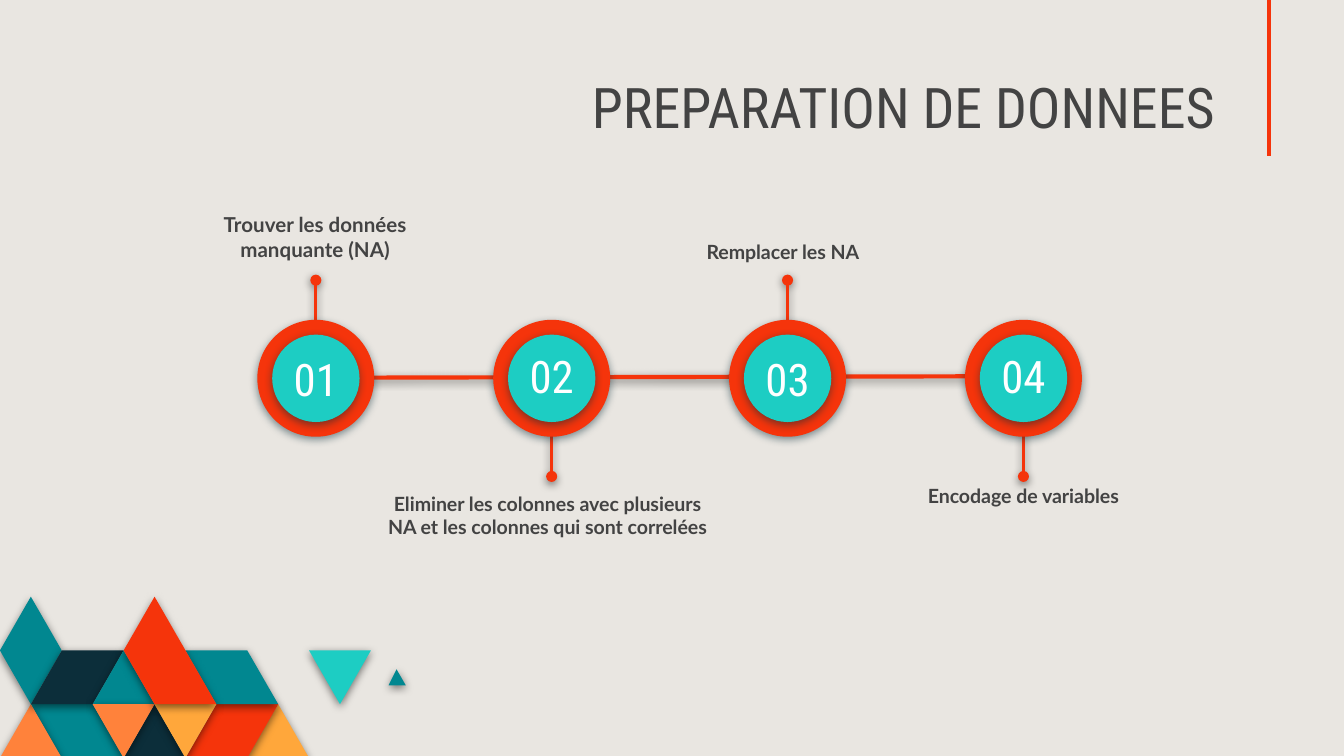
from lxml import etree
from pptx import Presentation
from pptx.dml.color import RGBColor
from pptx.enum.shapes import MSO_CONNECTOR as Conn, MSO_SHAPE as Form
from pptx.enum.text import MSO_ANCHOR as Anchor, PP_ALIGN as Align
from pptx.oxml.ns import qn
from pptx.util import Inches, Pt

W, H = 10, 5.625
RED, TEAL, AQUA, NAVY = "F5340B", "018790", "1DCDC3", "0C2E3A"
ORANGE, GOLD, GRAY, WHITE = "FF823B", "FFA73B", "434343", "FFFFFF"

TITLE = "PREPARATION DE DONNEES"
# number, label, label box (left, top, width, height), size, stem direction
STEPS = [
    ("01", "Trouver les données manquante (NA)", (1.22, 1.48, 2.25, 0.75), 11, -1),
    ("02", "Eliminer les colonnes avec plusieurs NA et les colonnes qui sont correlées",
     (2.78, 3.56, 2.59, 0.75), 10.5, 1),
    ("03", "Remplacer les NA", (4.72, 1.7, 2.21, 0.75), 10.5, -1),
    ("04", "Encodage de variables", (6.51, 3.51, 2.21, 0.45), 10.5, 1),
]
# Mosaic tiles: colour and corners as (column, row) of a triangle lattice
COL, ROW, TOP = 0.23, 0.4, 4.44
TILES = [
    (GOLD, [(10, 3), (9, 2), (8, 3)]),
    (RED, [(9, 2), (7, 2), (6, 3), (8, 3)]),
    (TEAL, [(4, 3), (3, 2), (1, 2), (2, 3)]),
    (ORANGE, [(2, 3), (1, 2), (0, 3)]),
    (NAVY, [(6, 3), (5, 2), (4, 3)]),
    (TEAL, [(9, 2), (8, 1), (6, 1), (7, 2)]),
    (TEAL, [(13.13, 1.65), (12.83, 1.35), (12.57, 1.65)]),
    (AQUA, [(12, 1), (10, 1), (11, 2)]),
    (TEAL, [(2, 1), (1, 0), (0, 1), (1, 2)]),
    (NAVY, [(4, 1), (2, 1), (1, 2), (3, 2)]),
    (TEAL, [(5, 2), (4, 1), (3, 2)]),
    (ORANGE, [(5, 2), (3, 2), (4, 3)]),
    (GOLD, [(7, 2), (5, 2), (6, 3)]),
    (RED, [(7, 2), (5, 0), (4, 1), (5, 2)]),
]

deck = Presentation()
deck.slide_width, deck.slide_height = Inches(W), Inches(H)
slide = deck.slides.add_slide(deck.slide_layouts[6])
shapes = slide.shapes


def rgb(code):
    return RGBColor.from_string(code)


def shade(fx, code="000000"):
    cast = etree.SubElement(fx, qn("a:outerShdw"), blurRad=str(Pt(4.5)),
                            dist=str(Pt(1.5)), dir="5400000", algn="bl", rotWithShape="0")
    tint = etree.SubElement(cast, qn("a:srgbClr"), val=code)
    etree.SubElement(tint, qn("a:alpha"), val="50000")


def paint(shape, color, cast):
    shape.fill.solid()
    shape.fill.fore_color.rgb = rgb(color)
    shape.line.fill.background()
    shape.shadow.inherit = False
    shade(shape.element.spPr.find(qn("a:effectLst")), cast)


def line(x1, y1, x2, y2, width, dot=False, cast=True):
    link = shapes.add_connector(Conn.STRAIGHT, *map(Inches, (x1, y1, x2, y2)))
    link.line.color.rgb = rgb(RED)
    link.line.width = Pt(width)
    props = link.element.spPr
    if dot:
        etree.SubElement(props.find(qn("a:ln")), qn("a:tailEnd"), type="oval")
    fx = etree.SubElement(props, qn("a:effectLst"))
    if cast:
        shade(fx)


def disc(x, y, size, color):
    box = (x - size / 2, y - size / 2, size, size)
    paint(shapes.add_shape(Form.OVAL, *map(Inches, box)), color, NAVY)


def write(text, box, size, font="Lato", color=GRAY, bold=False,
          align=Align.CENTER, anchor=Anchor.TOP, after=0):
    frame = shapes.add_textbox(*map(Inches, box)).text_frame
    frame.word_wrap = True
    frame.vertical_anchor = anchor
    frame.margin_left = frame.margin_right = Inches(0.1)
    frame.margin_top = frame.margin_bottom = Inches(0.1)
    para = frame.paragraphs[0]
    para.alignment = align
    para.space_after = Pt(after)
    run = para.add_run()
    run.text = text
    run.font.name, run.font.size = font, Pt(size)
    run.font.bold, run.font.color.rgb = bold, rgb(color)


# Background and mosaic
slide.background.fill.solid()
slide.background.fill.fore_color.rgb = rgb("E9E6E1")
for color, corners in TILES:
    pts = [(Inches(c * COL), Inches(TOP + r * ROW)) for c, r in corners]
    pen = shapes.build_freeform(*pts[0])
    pen.add_line_segments(pts[1:], close=True)
    paint(pen.convert_to_shape(), color, "000000")

# Title with its rule
line(9.44, 0, 9.44, 1.16, 2.25, cast=False)
write(TITLE, (0.29, 0.51, 8.85, 0.63), 30, "Roboto Condensed",
      align=Align.RIGHT, anchor=Anchor.BOTTOM)

# Timeline: equal steps along one axis
LEFT, MID, STEP = 2.35, 2.815, 1.755
RING, CORE, REACH = 0.87, 0.65, 0.73
line(2.74, 2.81, 7.22, 2.8, 2.25)
for i, (num, label, box, size, way) in enumerate(STEPS):
    x = LEFT + i * STEP
    line(x, MID + way * CORE / 2, x, MID + way * REACH, 1.5, dot=True)
    disc(x, MID, RING, RED)
    disc(x, MID, CORE, AQUA)
    write(num, (x - 0.39, 2.56 - way * 0.01, 0.78, 0.49), 24,
          "Roboto Condensed", WHITE, anchor=Anchor.MIDDLE)
    write(label, box, size, bold=True, after=16)

deck.save("out.pptx")
